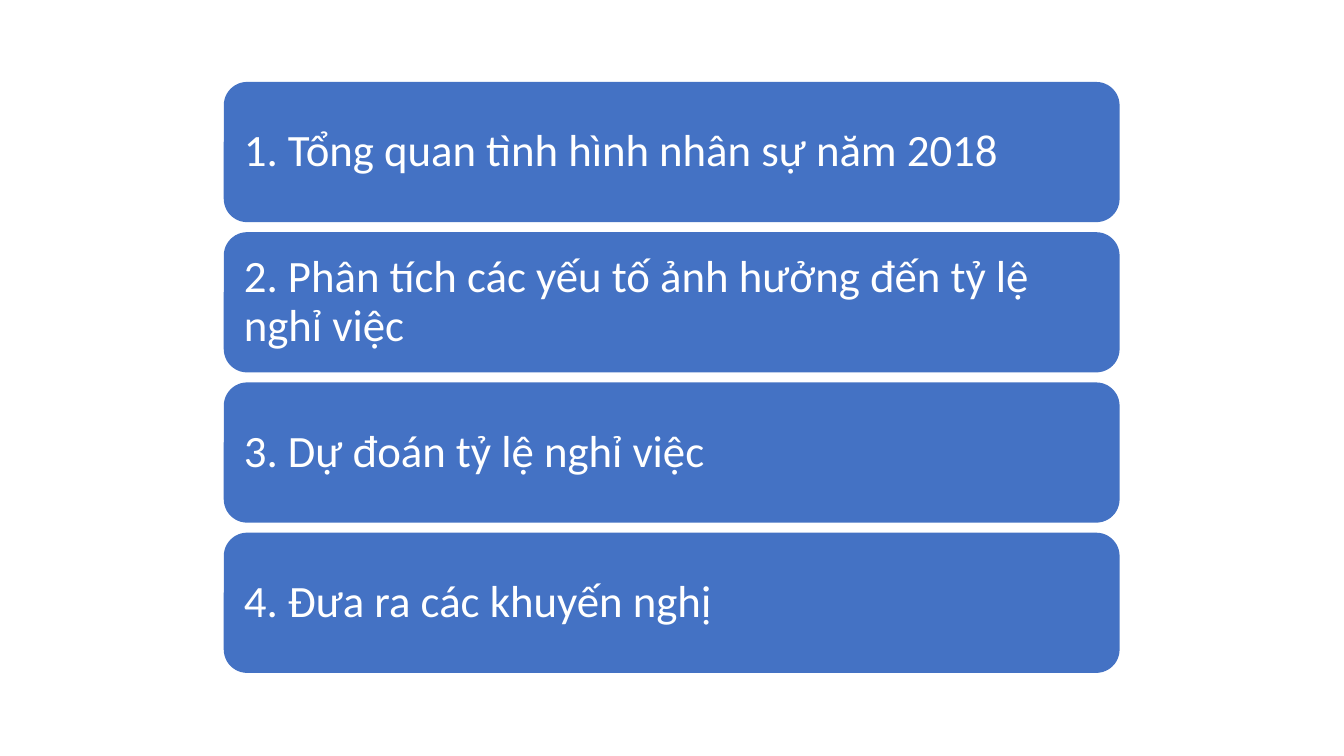
import pptx
import pptx.util
import pptx.dml.color
import pptx.enum.shapes
import pptx.enum.text

Cm = pptx.util.Cm
BLUE = pptx.dml.color.RGBColor(0x44, 0x72, 0xC4)
WHITE = pptx.dml.color.RGBColor(0xFF, 0xFF, 0xFF)

AGENDA = [
    "1. Tổng quan tình hình nhân sự năm 2018",
    "2. Phân tích các yếu tố ảnh hưởng đến tỷ lệ nghỉ việc",
    "3. Dự đoán tỷ lệ nghỉ việc",
    "4. Đưa ra các khuyến nghị",
]


def write_text(tf, text, *, size=24, font="Calibri", color=WHITE, inset=0.25):
    tf.word_wrap = True
    tf.vertical_anchor = pptx.enum.text.MSO_ANCHOR.MIDDLE
    tf.margin_left = tf.margin_right = Cm(inset)
    tf.margin_top = tf.margin_bottom = Cm(inset)
    p = tf.paragraphs[0]
    p.alignment = pptx.enum.text.PP_ALIGN.LEFT
    p.line_spacing = 0.9
    r = p.add_run()
    r.text = text
    r.font.size = pptx.util.Pt(size)
    r.font.name = font
    r.font.color.rgb = color


def add_agenda(s, items, left, top, width, height, gap=0.19):
    """Stack one rounded bar per item so that they fill the box, in cm."""
    bar_height = (height - gap * (len(items) - 1)) / len(items)
    for i, text in enumerate(items):
        sp = s.shapes.add_shape(
            pptx.enum.shapes.MSO_SHAPE.ROUNDED_RECTANGLE,
            Cm(left), Cm(top + i * (bar_height + gap)), Cm(width), Cm(bar_height))
        sp.shadow.inherit = False
        sp.fill.solid()
        sp.fill.fore_color.rgb = BLUE
        sp.line.fill.background()
        write_text(sp.text_frame, text)


def main():
    prs = pptx.Presentation()
    prs.slide_width, prs.slide_height = Cm(25.4), Cm(14.29)
    s = prs.slides.add_slide(prs.slide_layouts[6])
    add_agenda(s, AGENDA, left=4.23, top=1.55, width=16.93, height=11.17)
    prs.save("out.pptx")


if __name__ == "__main__":
    main()
